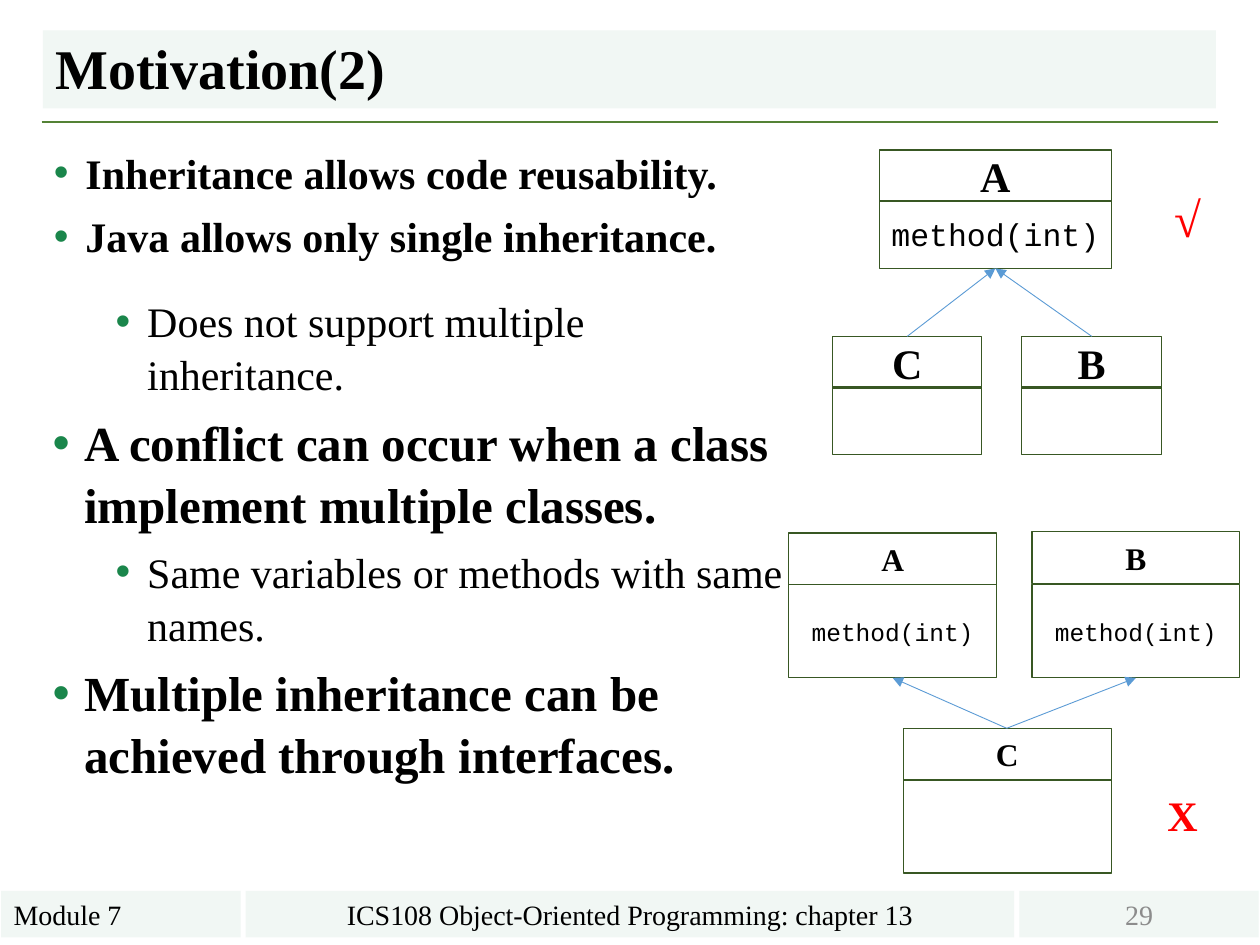
import pptx
import pptx.dml.color
import pptx.enum.shapes
import pptx.enum.text
import pptx.oxml
import pptx.oxml.ns
import pptx.util
from pptx.util import Inches

ALIGN = pptx.enum.text.PP_ALIGN
ANCHOR = pptx.enum.text.MSO_ANCHOR
SERIF, MONO = "Times New Roman", "Courier New"
BLACK, RED, GREY = "000000", "FF0000", "8C8C8C"
PANEL, RULE, BULLET = "F1F7F4", "548235", "1A864B"
BOX_LINE, ARROW = "385723", "5B9BD5"


def color(value):
    return pptx.dml.color.RGBColor.from_string(value)


def element(xml):
    return pptx.oxml.parse_xml(xml.replace("/>", f' {pptx.oxml.ns.nsdecls("a")}/>', 1))


class SlideBuilder:
    def __init__(self, deck):
        self.slide = deck.slides.add_slide(deck.slide_layouts[5])
        self.shapes = self.slide.shapes

    def style(self, paragraph, size, bold=False, font=SERIF, ink=BLACK):
        for run in paragraph.runs:
            run.font.name = font
            run.font.size = pptx.util.Pt(size)
            run.font.bold = bold
            run.font.color.rgb = color(ink)

    def title(self, text, left, top, width, height):
        heading = self.shapes.title
        heading.left, heading.top = Inches(left), Inches(top)
        heading.width, heading.height = Inches(width), Inches(height)
        heading.fill.solid()
        heading.fill.fore_color.rgb = color(PANEL)
        frame = heading.text_frame
        frame.text = text
        frame.auto_size = pptx.enum.text.MSO_AUTO_SIZE.NONE
        frame.vertical_anchor = ANCHOR.BOTTOM
        frame.paragraphs[0].alignment = ALIGN.LEFT
        frame.paragraphs[0].line_spacing = 0.9
        self.style(frame.paragraphs[0], 32, bold=True)

    def rectangle(self, left, top, width, height, text="", fill=None, line=None,
                  align=ALIGN.CENTER, wrap=False, **text_style):
        box = self.shapes.add_shape(
            pptx.enum.shapes.MSO_SHAPE.RECTANGLE,
            Inches(left), Inches(top), Inches(width), Inches(height))
        box.shadow.inherit = False
        if fill:
            box.fill.solid()
            box.fill.fore_color.rgb = color(fill)
        else:
            box.fill.background()
        if line:
            box.line.color.rgb = color(line)
            box.line.width = pptx.util.Pt(0.75)
        else:
            box.line.fill.background()
        if text:
            frame = box.text_frame
            frame.text = text
            frame.word_wrap = wrap
            frame.vertical_anchor = ANCHOR.MIDDLE
            frame.paragraphs[0].alignment = align
            self.style(frame.paragraphs[0], **text_style)

    def label(self, text, left, top, width, height, align=ALIGN.LEFT, **text_style):
        frame = self.text_box(left, top, width, height)
        frame.text = text
        frame.paragraphs[0].alignment = align
        self.style(frame.paragraphs[0], **text_style)

    def text_box(self, left, top, width, height):
        box = self.shapes.add_textbox(
            Inches(left), Inches(top), Inches(width), Inches(height))
        box.text_frame.word_wrap = True
        return box.text_frame

    def bullets(self, items, left, top, width, height):
        """Each item is (level, size, text); top-level items are bold."""
        frame = self.text_box(left, top, width, height)
        for index, (level, size, text) in enumerate(items):
            paragraph = frame.paragraphs[0] if index == 0 else frame.add_paragraph()
            paragraph.text = text
            paragraph.level = level
            paragraph.line_spacing = 1.05
            if index:
                paragraph.space_before = pptx.util.Pt(6)
            properties = paragraph._p.get_or_add_pPr()
            properties.set("marL", str(Inches(0.25 + 0.5 * level)))
            properties.set("indent", str(Inches(-0.25)))
            bullet_color = pptx.oxml.parse_xml(
                f'<a:buClr {pptx.oxml.ns.nsdecls("a")}><a:srgbClr val="{BULLET}"/></a:buClr>')
            properties.append(bullet_color)
            properties.append(element('<a:buFont typeface="Arial"/>'))
            properties.append(element('<a:buChar char="•"/>'))
            self.style(paragraph, size, bold=level == 0)

    def line(self, start, end, ink, width, arrow=False):
        connector = self.shapes.add_connector(
            pptx.enum.shapes.MSO_CONNECTOR.STRAIGHT,
            *(Inches(value) for value in start + end))
        connector.line.color.rgb = color(ink)
        connector.line.width = pptx.util.Pt(width)
        if arrow:
            connector.line._get_or_add_ln().append(element('<a:tailEnd type="triangle"/>'))
        connector._element.spPr.append(element("<a:effectLst/>"))

    def uml_class(self, name, left, top, width, body_top, body_height, size,
                  method="", method_size=14):
        self.rectangle(left, body_top, width, body_height, method, line=BOX_LINE,
                       size=method_size, font=MONO)
        self.rectangle(left, top, width, 0.41, name, line=BOX_LINE, size=size, bold=True)


def main():
    deck = pptx.Presentation()
    deck.slide_width, deck.slide_height = Inches(10), Inches(7.5)
    page = SlideBuilder(deck)

    # Title and rule
    page.title("Motivation(2)", 0.34, 0.24, 9.31, 0.62)
    page.line((0.33, 0.97), (9.67, 0.97), RULE, 1.5)

    # Footer
    for text, left, width, align, ink in (
            ("Module 7", 0.01, 1.9, ALIGN.LEFT, BLACK),
            ("ICS108 Object-Oriented Programming: chapter 13", 1.95, 6.1, ALIGN.CENTER, BLACK),
            ("29", 8.09, 1.9, ALIGN.CENTER, GREY)):
        page.rectangle(left, 7.07, width, 0.37, text, fill=PANEL, align=align,
                       wrap=True, size=16, ink=ink)

    # Points
    page.bullets([
        (0, 24, "Inheritance allows code reusability."),
        (0, 24, "Java allows only single inheritance."),
    ], 0.33, 1.1, 6.28, 1.32)
    page.bullets([
        (1, 24, "Does not support multiple inheritance."),
        (0, 28, "A conflict can occur when a class implement multiple classes."),
        (1, 24, "Same variables or methods with same names."),
        (0, 28, "Multiple inheritance can be achieved through interfaces."),
    ], 0.32, 2.28, 6.03, 4.65)

    # Single inheritance: allowed
    page.uml_class("A", 6.98, 1.19, 1.84, 1.59, 0.54, 24, "method(int)", 18)
    for name, left, width in (("B", 8.11, 1.11), ("C", 6.61, 1.18)):
        page.uml_class(name, left, 2.67, width, 3.07, 0.54, 24)
        page.line((left + width / 2, 2.67), (7.9, 2.13), ARROW, 0.5, arrow=True)
    page.label("√", 9.22, 1.45, 0.67, 0.44, size=28, bold=True, ink=RED)

    # Multiple inheritance: not allowed
    page.uml_class("C", 7.17, 5.78, 1.65, 6.19, 0.74, 18)
    for name, left, top in (("A", 6.26, 4.23), ("B", 8.19, 4.22)):
        page.uml_class(name, left, top, 1.65, 4.64, 0.74, 18, "method(int)")
        page.line((7.99, 5.78), (left + 1.65 / 2, 5.38), ARROW, 0.5, arrow=True)
    page.label("X", 9.05, 6.22, 0.67, 0.44, align=ALIGN.CENTER, size=24, bold=True, ink=RED)

    deck.save("out.pptx")


if __name__ == "__main__":
    main()
